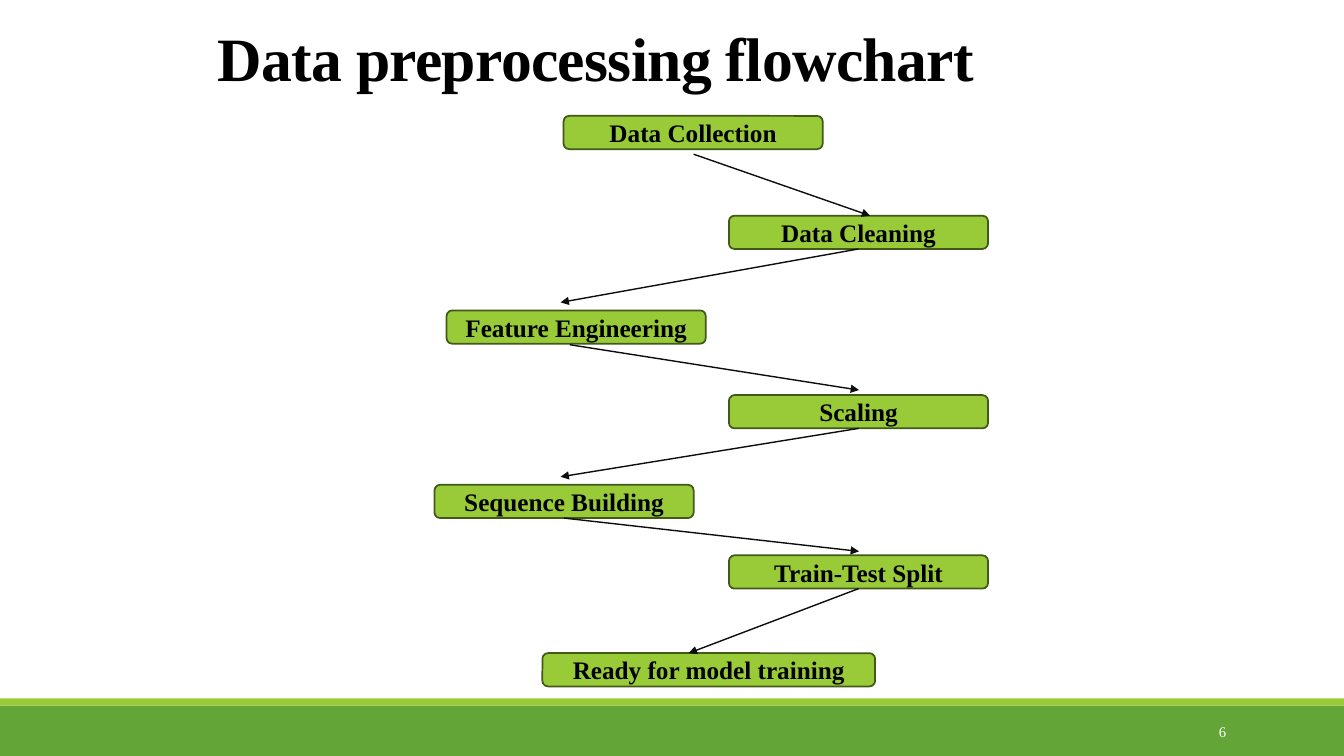
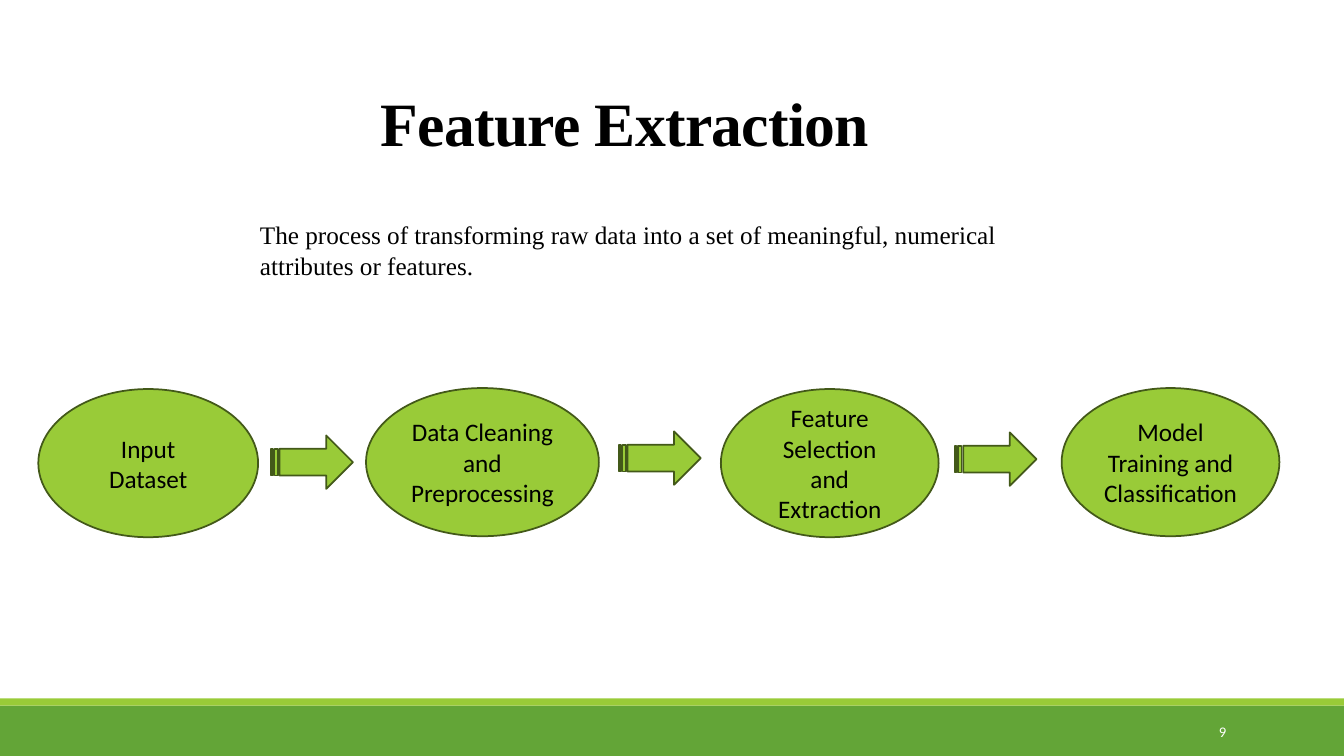
from dataclasses import dataclass

from lxml import etree
from pptx import Presentation
from pptx.dml.color import RGBColor
from pptx.enum.shapes import MSO_CONNECTOR, MSO_SHAPE
from pptx.enum.text import MSO_ANCHOR, PP_ALIGN
from pptx.oxml.ns import qn
from pptx.util import Inches, Pt

RECT, ROUNDED, ELLIPSE = MSO_SHAPE.RECTANGLE, MSO_SHAPE.ROUNDED_RECTANGLE, MSO_SHAPE.OVAL
STRIPED_ARROW, STRAIGHT = MSO_SHAPE.STRIPED_RIGHT_ARROW, MSO_CONNECTOR.STRAIGHT
LEFT, CENTER, RIGHT = PP_ALIGN.LEFT, PP_ALIGN.CENTER, PP_ALIGN.RIGHT
TOP, MIDDLE, BOTTOM = MSO_ANCHOR.TOP, MSO_ANCHOR.MIDDLE, MSO_ANCHOR.BOTTOM
BOTTOM_SIDE = 2


@dataclass(frozen=True)
class Theme:
    serif: str = "Times New Roman"
    sans: str = "Calibri"
    band: str = "63A537"
    lime: str = "99CB38"
    outline: str = "435919"
    arrow: str = "0D0D0D"
    ink: str = "000000"
    white: str = "FFFFFF"
    title_size: float = 44
    body_size: float = 18
    number_size: float = 10.5
    outline_width: float = 1.25
    arrow_width: float = 1


THEME = Theme()
SLIDE_W, SLIDE_H = 13.33, 7.5
BANDS = [(7, 0.5, THEME.band), (6.93, 0.07, THEME.lime)]  # top, height, colour
NUMBER_BOX = (10.83, 7.06, 1.43, 0.4)
TITLE_H = 0.84

FLOWCHART = {"title": "Data preprocessing flowchart", "title_at": (2.06, 0.14, 7.95),
             "number": "6", "number_font": THEME.serif}
STEP_W, STEP_H = 2.57, 0.33
STEPS = [  # text, left, top, width
    ("Data Collection", 5.59, 1.15, STEP_W),
    ("Data Cleaning", 7.23, 2.14, STEP_W),
    ("Feature Engineering", 4.43, 3.08, STEP_W),
    ("Scaling", 7.23, 3.92, STEP_W),
    ("Sequence Building", 4.31, 4.81, STEP_W),
    ("Train-Test Split", 7.23, 5.51, STEP_W),
    ("Ready for model training", 5.38, 6.48, 3.3),
]
# Arrow out of each step: a free start point (None: joined to the step) and its end
STEP_ARROWS = [
    ((6.88, 1.53), (8.63, 2.14)),
    (None, (5.56, 3)),
    ((5.65, 3.42), (8.52, 3.87)),
    (None, (5.56, 4.73)),
    (None, (8.52, 5.47)),
    (None, (6.83, 6.48)),
]

EXTRACTION = {"title": "Feature Extraction", "title_at": (3.68, 0.78, 6.3),
              "number": "9", "number_font": THEME.sans}
DEFINITION = ("The process of transforming raw data into a set of meaningful, "
              "numerical attributes or features.")
DEFINITION_BOX = (2.48, 2.13, 7.95, 0.71)
STAGE_H = 1.47
STAGES = [  # text, left, top, width
    ("Input Dataset", 0.38, 3.86, 2.18),
    ("Data Cleaning and Preprocessing", 3.63, 3.85, 2.31),
    ("Feature Selection and Extraction", 7.15, 3.86, 2.16),
    ("Model Training and Classification", 10.53, 3.85, 2.16),
]
STAGE_ARROWS = [(2.69, 4.32), (6.14, 4.28), (9.47, 4.29)]
STAGE_ARROW_SIZE = (0.81, 0.53)


def inches(values):
    return [Inches(value) for value in values]


def write(shape, text, align=LEFT, anchor=TOP, spacing=None, color=THEME.ink, **font):
    """Put text in a shape; spacing is in hundredths of a point."""
    frame = shape.text_frame
    frame.word_wrap = True
    frame.vertical_anchor = anchor
    paragraph = frame.paragraphs[0]
    paragraph.alignment = align
    run = paragraph.add_run()
    run.text = text
    for attribute, value in font.items():
        setattr(run.font, attribute, value)
    run.font.color.rgb = RGBColor.from_string(color)
    if spacing is not None:
        run._r.get_or_add_rPr().set("spc", str(spacing))


def add_filled(slide, preset, box, fill, outlined=True):
    shape = slide.shapes.add_shape(preset, *inches(box))
    shape.shadow.inherit = False
    shape.fill.solid()
    shape.fill.fore_color.rgb = RGBColor.from_string(fill)
    if outlined:
        shape.line.color.rgb = RGBColor.from_string(THEME.outline)
        shape.line.width = Pt(THEME.outline_width)
    else:
        shape.line.fill.background()
    return shape


def add_node(slide, preset, box, text, **font):
    node = add_filled(slide, preset, box, THEME.lime)
    write(node, text, CENTER, MIDDLE, size=Pt(THEME.body_size), **font)
    return node


def add_text(slide, box, text, **style):
    write(slide.shapes.add_textbox(*inches(box)), text, **style)


def add_arrow(slide, start, end):
    arrow = slide.shapes.add_connector(STRAIGHT, *inches(start + end))
    arrow.line.color.rgb = RGBColor.from_string(THEME.arrow)
    arrow.line.width = Pt(THEME.arrow_width)
    etree.SubElement(arrow.line._get_or_add_ln(), qn("a:tailEnd"), type="triangle")
    etree.SubElement(arrow._element.spPr, qn("a:effectLst"))
    return arrow


def add_base_slide(prs, content):
    """Add a slide with the bands, title and slide number."""
    slide = prs.slides.add_slide(prs.slide_layouts[6])
    for top, height, color in BANDS:
        add_filled(slide, RECT, (0, top, SLIDE_W, height), color, outlined=False)
    add_text(slide, content["title_at"] + (TITLE_H,), content["title"], anchor=BOTTOM,
             spacing=-50, name=THEME.serif, size=Pt(THEME.title_size), bold=True)
    add_text(slide, NUMBER_BOX, content["number"], align=RIGHT, anchor=MIDDLE,
             color=THEME.white, name=content["number_font"], size=Pt(THEME.number_size))
    return slide


def build_flowchart(prs):
    slide = add_base_slide(prs, FLOWCHART)
    steps = [add_node(slide, ROUNDED, (left, top, width, STEP_H), text,
                      name=THEME.serif, bold=True)
             for text, left, top, width in STEPS]
    for step, (start, end) in zip(steps, STEP_ARROWS):
        arrow = add_arrow(slide, start or end, end)
        if start is None:
            arrow.begin_connect(step, BOTTOM_SIDE)


def build_extraction(prs):
    slide = add_base_slide(prs, EXTRACTION)
    add_text(slide, DEFINITION_BOX, DEFINITION, name=THEME.serif, size=Pt(THEME.body_size))
    for text, left, top, width in STAGES:
        add_node(slide, ELLIPSE, (left, top, width, STAGE_H), text, name=THEME.sans)
    for corner in STAGE_ARROWS:
        add_filled(slide, STRIPED_ARROW, corner + STAGE_ARROW_SIZE, THEME.lime)


def main():
    prs = Presentation()
    prs.slide_width, prs.slide_height = inches((SLIDE_W, SLIDE_H))
    build_flowchart(prs)
    build_extraction(prs)
    prs.save("out.pptx")


if __name__ == "__main__":
    main()
